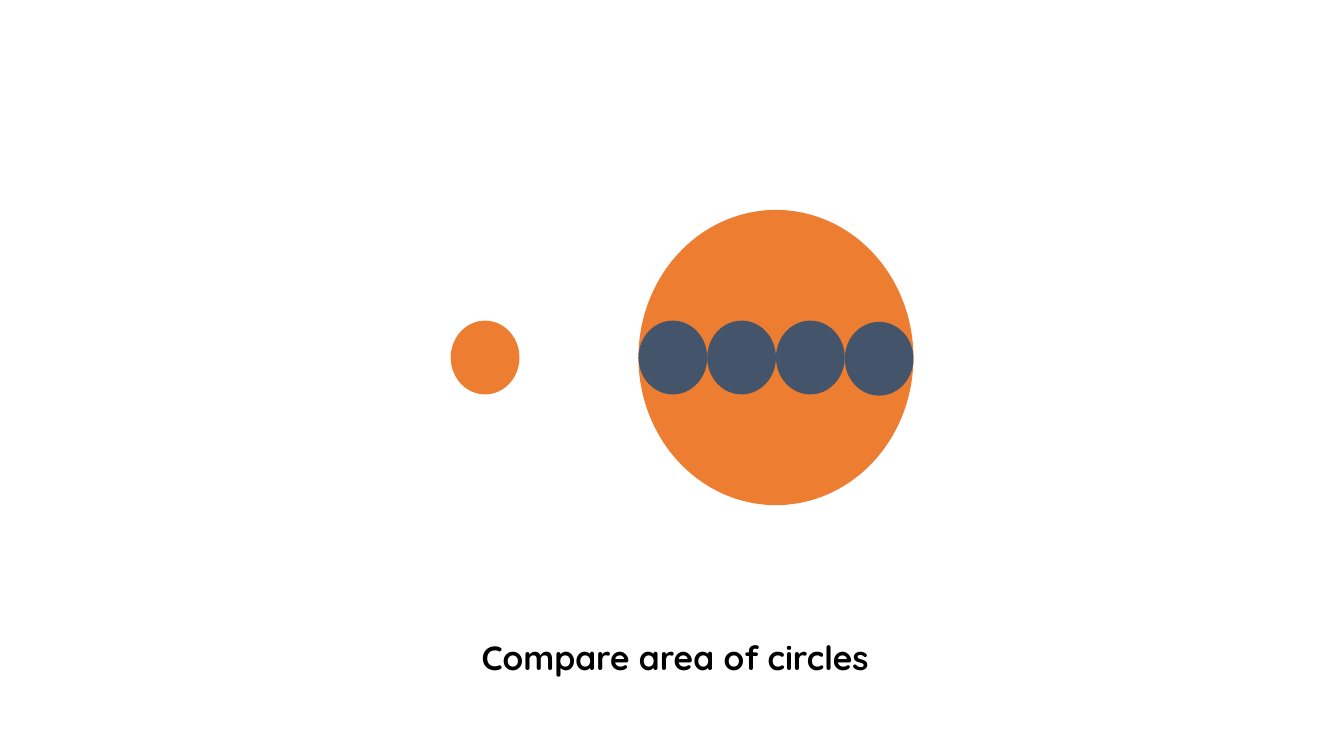
from pptx import Presentation, util as u
from pptx.dml.color import RGBColor
from pptx.enum import shapes, text

Cm = u.Cm
COLORS = {"disc": "ED7D31", "dot": "44546A", "text": "000000"}
TITLE = {"name": "Quicksand", "size": u.Pt(24), "bold": True}
COUNT = 4  # small circles across the large one


def oval(slide, box, color):
    shape = slide.shapes.add_shape(
        shapes.MSO_SHAPE.OVAL, *(Cm(v) for v in box))
    shape.shadow.inherit = False
    shape.fill.solid()
    shape.fill.fore_color.rgb = RGBColor.from_string(COLORS[color])
    shape.line.fill.background()


def circles(slide, box, gap):
    """Draw the large circle in box, its row of dots, and one unit circle at its left."""
    left, top, width, height = box
    wide, high = width / COUNT, height / COUNT
    mid = top + (height - high) / 2
    oval(slide, (left - gap - wide, mid, wide, high), "disc")
    oval(slide, box, "disc")
    for i in range(COUNT):
        drop = 0.03 if i == COUNT - 1 else 0
        oval(slide, (left + i * wide, mid + drop, wide, high), "dot")


def caption(slide, box, words):
    frame = slide.shapes.add_textbox(*(Cm(v) for v in box)).text_frame
    frame.word_wrap = False
    frame.auto_size = text.MSO_AUTO_SIZE.SHAPE_TO_FIT_TEXT
    run = frame.paragraphs[0].add_run()
    run.text = words
    for key, value in TITLE.items():
        setattr(run.font, key, value)
    run.font.color.rgb = RGBColor.from_string(COLORS["text"])


def main():
    deck = Presentation()
    deck.slide_width, deck.slide_height = Cm(33.87), Cm(19.05)
    slide = deck.slides.add_slide(deck.slide_layouts[6])
    caption(slide, (11.89, 15.93, 11.4, 1.28), "Compare area of circles")
    circles(slide, (16.09, 5.29, 6.93, 7.44), 3)
    deck.save("out.pptx")


if __name__ == "__main__":
    main()
